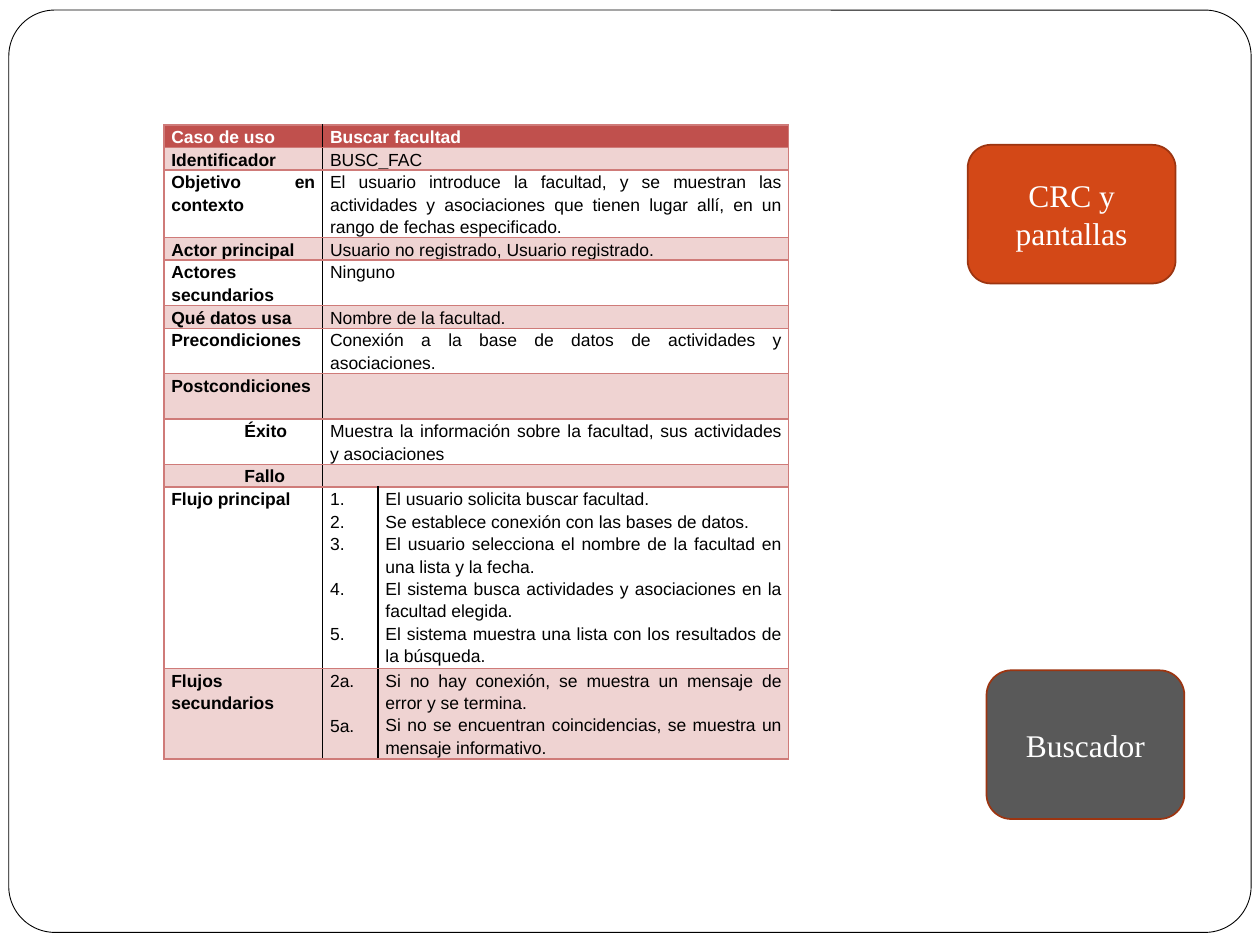
import pptx
import pptx.util
import pptx.dml.color
import pptx.enum.shapes
import pptx.enum.text
import pptx.oxml.ns
import lxml.etree

Inches = pptx.util.Inches
Pt = pptx.util.Pt

COLORS = {
    "white": "FFFFFF", "black": "000000", "header": "C0504D", "band": "EFD3D2",
    "border": "CF7B79", "orange": "D34817", "gray": "595959", "outline": "9C3511",
}
LINE_HEIGHT = 12.9
INDENTED_LABELS = ("Éxito", "Fallo")
FIELDS = [
    ("Caso de uso", "Buscar facultad", 0.18),
    ("Identificador", "BUSC_FAC", 0.18),
    ("Objetivo en contexto", "El usuario introduce la facultad, y se muestran las actividades y "
     "asociaciones que tienen lugar allí, en un rango de fechas especificado.", 0.53),
    ("Actor principal", "Usuario no registrado, Usuario registrado.", 0.18),
    ("Actores secundarios", "Ninguno", 0.36),
    ("Qué datos usa", "Nombre de la facultad.", 0.18),
    ("Precondiciones", "Conexión a la base de datos de actividades y asociaciones.", 0.36),
    ("Postcondiciones", "", 0.36),
    ("Éxito", "Muestra la información sobre la facultad, sus actividades y asociaciones", 0.36),
    ("Fallo", "", 0.18),
]
FLOWS = [
    ("Flujo principal", [
        ("1.", "El usuario solicita buscar facultad.", 1),
        ("2.", "Se establece conexión con las bases de datos.", 1),
        ("3.", "El usuario selecciona el nombre de la facultad en una lista y la fecha.", 2),
        ("4.", "El sistema busca actividades y asociaciones en la facultad elegida.", 2),
        ("5.", "El sistema muestra una lista con los resultados de la búsqueda.", 2),
    ], 1.44),
    ("Flujos secundarios", [
        ("2a.", "Si no hay conexión, se muestra un mensaje de error y se termina.", 2),
        ("5a.", "Si no se encuentran coincidencias, se muestra un mensaje informativo.", 2),
    ], 0.72),
]
COLUMN_WIDTHS = (1.26, 0.44, 3.26)
BUTTONS = [
    ("CRC y pantallas", (7.68, 1.15, 1.65, 1.1), "orange"),
    ("Buscador", (7.83, 5.32, 1.57, 1.18), "gray"),
]


def color(name):
    return pptx.dml.color.RGBColor.from_string(COLORS[name])


def add_round_box(slide, box, fill, line, width):
    shape = slide.shapes.add_shape(
        pptx.enum.shapes.MSO_SHAPE.ROUNDED_RECTANGLE, *map(Inches, box))
    shape.shadow.inherit = False
    shape.fill.solid()
    shape.fill.fore_color.rgb = color(fill)
    shape.line.color.rgb = color(line)
    shape.line.width = Pt(width)
    return shape


def add_button(slide, text, box, fill):
    shape = add_round_box(slide, box, fill, "outline", 1)
    shape.text_frame.word_wrap = True
    shape.text_frame.vertical_anchor = pptx.enum.text.MSO_ANCHOR.MIDDLE
    shape.text_frame.text = text
    paragraph = shape.text_frame.paragraphs[0]
    paragraph.alignment = pptx.enum.text.PP_ALIGN.CENTER
    font = paragraph.runs[0].font
    font.name, font.size = "Times New Roman", Pt(18)
    font.color.rgb = color("white")


def set_borders(cell, left, right):
    properties = cell._tc.get_or_add_tcPr()
    sides = {"lnL": left, "lnR": right, "lnT": "border", "lnB": "border"}
    for side, name in sides.items():
        line = lxml.etree.SubElement(properties, pptx.oxml.ns.qn("a:" + side), w=str(Pt(1)))
        fill = lxml.etree.SubElement(line, pptx.oxml.ns.qn("a:solidFill"))
        lxml.etree.SubElement(fill, pptx.oxml.ns.qn("a:srgbClr"), val=COLORS[name])


def fill_cell(cell, lines, bold, text_color, gaps=()):
    cell.margin_left = Inches(0.64 if lines[0] in INDENTED_LABELS else 0.06)
    cell.margin_right = Inches(0.06)
    cell.margin_top = cell.margin_bottom = 0
    cell.text_frame.text = "\n".join(lines)
    for index, paragraph in enumerate(cell.text_frame.paragraphs):
        paragraph.alignment = pptx.enum.text.PP_ALIGN.JUSTIFY
        paragraph.line_spacing = 1.15
        if gaps and index < len(lines) - 1:
            paragraph.space_after = Pt((gaps[index] - 1) * LINE_HEIGHT)
        for run in paragraph.runs:
            run.font.name, run.font.size, run.font.bold = "Arial", Pt(10), bold
            run.font.color.rgb = color(text_color)
        if not paragraph.runs:
            paragraph._p.get_or_add_endParaRPr().set("sz", "1000")


def add_use_case_table(slide):
    records = FIELDS + FLOWS
    heights = [record[2] for record in records]
    table = slide.shapes.add_table(
        len(records), len(COLUMN_WIDTHS), Inches(1.3), Inches(0.99),
        Inches(sum(COLUMN_WIDTHS)), Inches(sum(heights))).table
    table.first_row = table.horz_banding = False
    for column, width in zip(table.columns, COLUMN_WIDTHS):
        column.width = Inches(width)
    for index, (label, content, height) in enumerate(records):
        table.rows[index].height = Inches(height)
        cells = [table.cell(index, column) for column in range(3)]
        is_field = isinstance(content, str)
        is_header = index == 0
        text_color = "white" if is_header else "black"
        fill_cell(cells[0], [label], True, text_color)
        if is_field:
            cells[1].merge(cells[2])
            fill_cell(cells[1], [content], is_header, text_color)
        else:
            numbers, steps, gaps = zip(*content)
            fill_cell(cells[1], numbers, False, text_color, gaps)
            fill_cell(cells[2], steps, False, text_color)
        set_borders(cells[0], "border", "black")
        set_borders(cells[1], "black", "border" if is_field else "black")
        set_borders(cells[2], "black", "border")
        for cell in cells:
            if is_header or index % 2:
                cell.fill.solid()
                cell.fill.fore_color.rgb = color("header" if is_header else "band")
            else:
                cell.fill.background()


def main():
    presentation = pptx.Presentation()
    presentation.slide_width, presentation.slide_height = Inches(10), Inches(7.5)
    slide = presentation.slides.add_slide(presentation.slide_layouts[6])
    frame = add_round_box(slide, (0.07, 0.08, 9.86, 7.32), "white", "black", 0.5)
    frame.adjustments[0] = 0.05
    add_use_case_table(slide)
    for button in BUTTONS:
        add_button(slide, *button)
    presentation.save("out.pptx")


if __name__ == "__main__":
    main()
